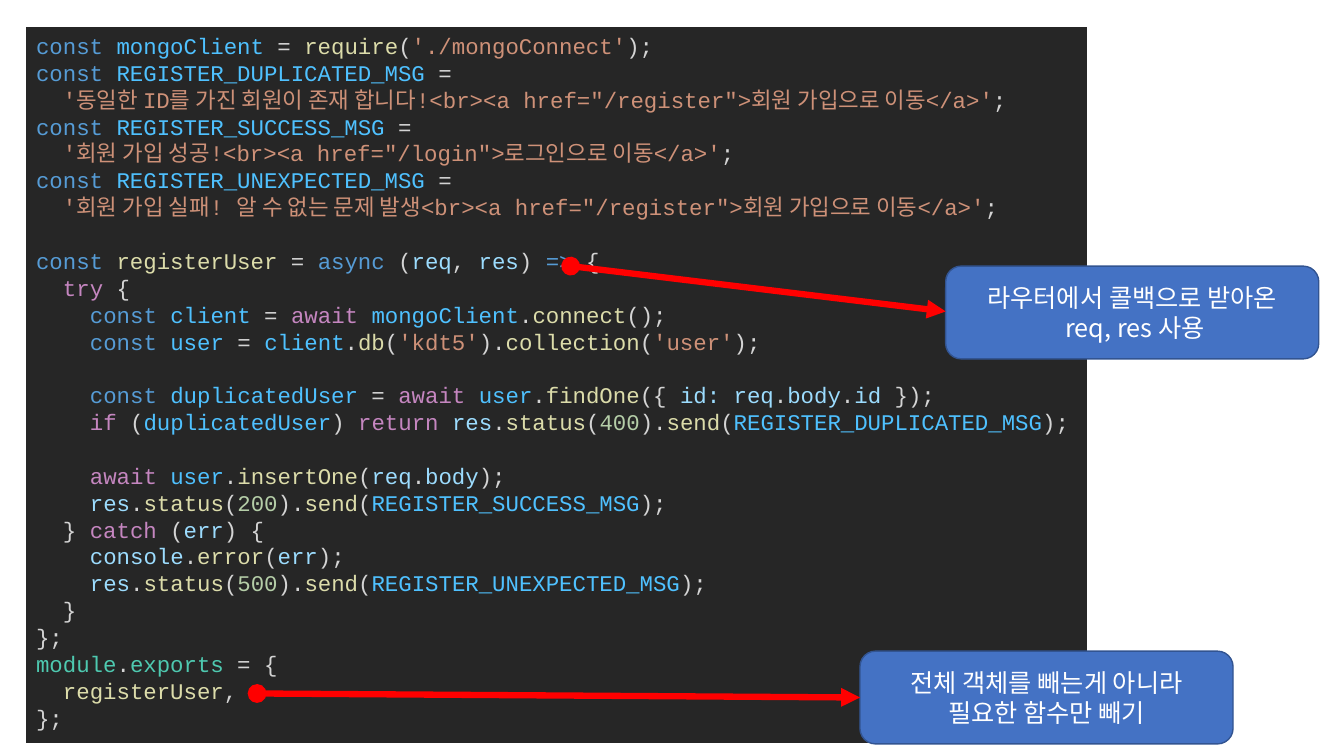
from itertools import groupby

from lxml import etree
from pptx import Presentation
from pptx.dml.color import RGBColor
from pptx.enum.shapes import MSO_CONNECTOR, MSO_SHAPE
from pptx.enum.text import MSO_ANCHOR, PP_ALIGN
from pptx.oxml.ns import qn
from pptx.util import Inches, Pt

RECTANGLE = MSO_SHAPE.RECTANGLE
ROUNDED = MSO_SHAPE.ROUNDED_RECTANGLE
STRAIGHT = MSO_CONNECTOR.STRAIGHT
TOP, MIDDLE = MSO_ANCHOR.TOP, MSO_ANCHOR.MIDDLE
LEFT, CENTER = PP_ALIGN.LEFT, PP_ALIGN.CENTER

KOREAN_FONT = "Noto Sans CJK KR"
CODE_FORMAT = {"name": "Courier New", "size": Pt(16)}
CALLOUT_FORMAT = {"name": KOREAN_FONT, "size": Pt(18)}
CODE_LINE = Pt(19.2)
CODE_INDENT = Pt(19.2)

PLAIN, STRING, NUMBER, CONSTANT = "D4D4D4", "CE9178", "B5CEA8", "4FC1FF"
VOCABULARY = {
    "569CD6": "const async =>",
    "C586C0": "await try catch if return",
    "DCDCAA": "require registerUser connect db collection findOne insertOne status send error",
    "9CDCFE": "req res body err console id :",
    "4EC9B0": "module exports",
}
WORD_COLORS = {word: shade for shade, words in VOCABULARY.items() for word in words.split()}

MESSAGES = """\
const mongoClient = require('./mongoConnect');
const REGISTER_DUPLICATED_MSG =
  '동일한 ID를 가진 회원이 존재 합니다!<br><a href="/register">회원 가입으로 이동</a>';
const REGISTER_SUCCESS_MSG =
  '회원 가입 성공!<br><a href="/login">로그인으로 이동</a>';
const REGISTER_UNEXPECTED_MSG =
  '회원 가입 실패! 알 수 없는 문제 발생<br><a href="/register">회원 가입으로 이동</a>';"""

CONNECTION = """\
const registerUser = async (req, res) => {
  try {
    const client = await mongoClient.connect();
    const user = client.db('kdt5').collection('user');"""

DUPLICATE_CHECK = """\
    const duplicatedUser = await user.findOne({ id: req.body.id });
    if (duplicatedUser) return res.status(400).send(REGISTER_DUPLICATED_MSG);"""

INSERTION = """\
    await user.insertOne(req.body);
    res.status(200).send(REGISTER_SUCCESS_MSG);
  } catch (err) {
    console.error(err);
    res.status(500).send(REGISTER_UNEXPECTED_MSG);
  }
};
module.exports = {
  registerUser,
};"""

CALLOUTS = [
    (8.53, 6.46, ["전체 객체를 빼는게 아니라", "필요한 함수만 빼기"], (2.55, 6.88), (8.53, 6.92)),
    (9.38, 2.64, ["라우터에서 콜백으로 받아온", " req, res 사용"], (5.66, 2.64), (9.38, 3.09)),
]


def color(value):
    return RGBColor.from_string(value)


def char_class(char):
    if char.isalnum() or char == "_":
        return "word"
    return "space" if char.isspace() else "symbol"


def token_color(token):
    if token in WORD_COLORS:
        return WORD_COLORS[token]
    if token.isdigit():
        return NUMBER
    return CONSTANT if char_class(token[0]) == "word" else PLAIN


def highlight(code_line):
    tokens = []
    for index, part in enumerate(code_line.split("'")):
        if index % 2:
            tokens.append((f"'{part}'", STRING))
            continue
        for _, chars in groupby(part, char_class):
            token = "".join(chars)
            tokens.append((token, token_color(token)))
    for shade, group in groupby(tokens, lambda pair: pair[1]):
        yield "".join(token for token, _ in group), shade


class SlideWriter:
    fill, outline, arrow, text = "4472C4", "325491", "FF0000", "FFFFFF"
    panel = "262626"

    def __init__(self, slide):
        self.slide = slide

    def box(self, kind, left, top, width, height, fill, anchor):
        shape = self.slide.shapes.add_shape(
            kind, Inches(left), Inches(top), Inches(width), Inches(height))
        shape.shadow.inherit = False
        shape.fill.solid()
        shape.fill.fore_color.rgb = color(fill)
        shape.line.fill.background()
        frame = shape.text_frame
        frame.word_wrap = True
        frame.vertical_anchor = anchor
        return shape

    def paragraph(self, frame, position, runs, alignment, text_format):
        paragraph = frame.add_paragraph() if position else frame.paragraphs[0]
        paragraph.alignment = alignment
        for content, shade in runs:
            run = paragraph.add_run()
            run.text = content
            for attribute, value in text_format.items():
                setattr(run.font, attribute, value)
            run.font.color.rgb = color(shade)
            east_asian = etree.SubElement(run.font._element, qn("a:ea"))
            east_asian.set("typeface", KOREAN_FONT)
        return paragraph

    def code(self, left, top, width, height, stanzas):
        frame = self.box(RECTANGLE, left, top, width, height, self.panel, TOP).text_frame
        position = 0
        for stanza in stanzas:
            for row, line in enumerate(stanza.splitlines()):
                statement = line.lstrip()
                paragraph = self.paragraph(
                    frame, position, highlight(statement), LEFT, CODE_FORMAT)
                paragraph.line_spacing = CODE_LINE
                paragraph.space_before = CODE_LINE if position and not row else 0
                depth = (len(line) - len(statement)) // 2
                properties = paragraph._p.get_or_add_pPr()
                properties.set("marL", str(depth * CODE_INDENT))
                properties.set("indent", "0")
                position += 1

    def callout(self, left, top, lines):
        shape = self.box(ROUNDED, left, top, 3.7, 0.92, self.fill, MIDDLE)
        shape.line.color.rgb = color(self.outline)
        shape.line.width = Pt(1)
        for position, line in enumerate(lines):
            self.paragraph(shape.text_frame, position, [(line, self.text)], CENTER, CALLOUT_FORMAT)

    def pointer(self, start, end):
        connector = self.slide.shapes.add_connector(
            STRAIGHT, *(Inches(value) for value in start + end))
        connector.line.color.rgb = color(self.arrow)
        connector.line.width = Pt(4.5)
        outline = connector.line._get_or_add_ln()
        for tag, ending in (("a:headEnd", "oval"), ("a:tailEnd", "triangle")):
            etree.SubElement(outline, qn(tag)).set("type", ending)
        etree.SubElement(connector._element.spPr, qn("a:effectLst"))


def main():
    deck = Presentation()
    deck.slide_width, deck.slide_height = Inches(13.33), Inches(7.5)
    writer = SlideWriter(deck.slides.add_slide(deck.slide_layouts[6]))
    writer.code(0.26, 0.27, 10.52, 7.1, [MESSAGES, CONNECTION, DUPLICATE_CHECK, INSERTION])
    for left, top, lines, start, end in CALLOUTS:
        writer.callout(left, top, lines)
        writer.pointer(start, end)
    deck.save("out.pptx")


if __name__ == "__main__":
    main()
